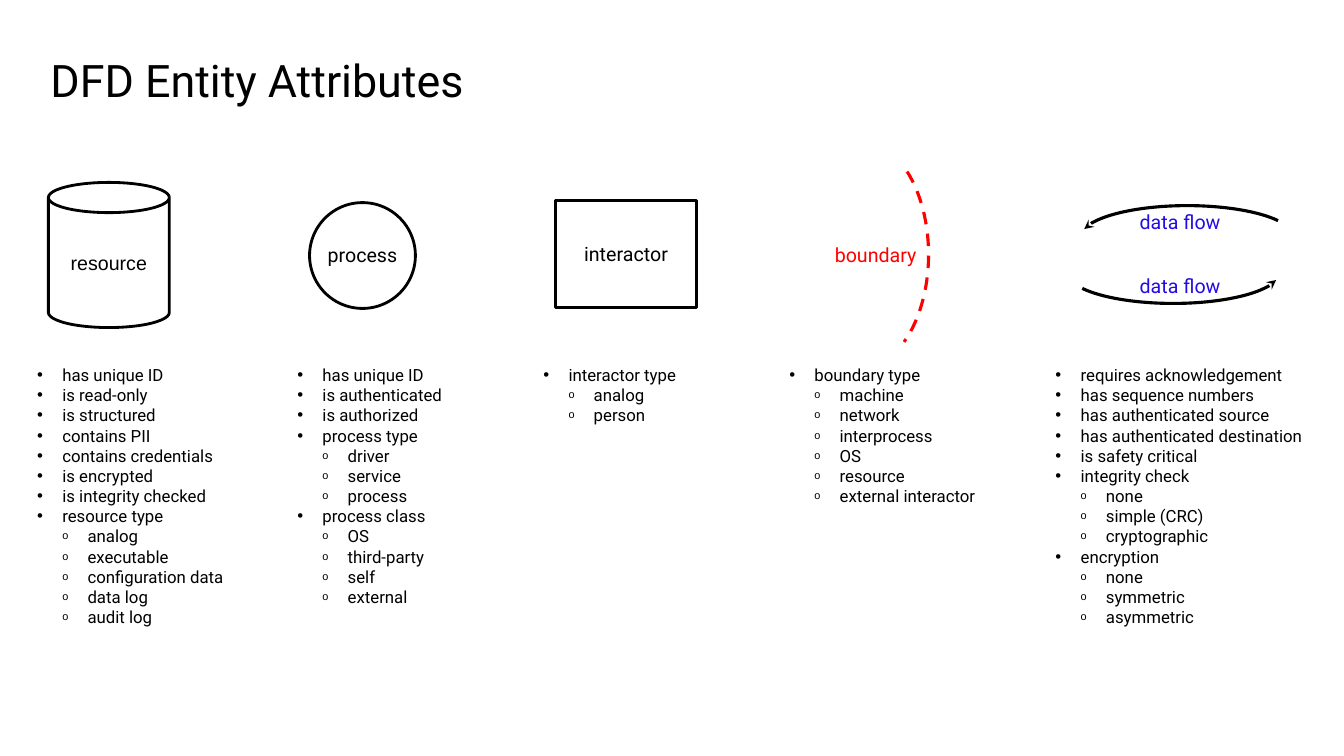
from lxml.etree import SubElement
from pptx import Presentation
from pptx.dml.color import RGBColor
from pptx.enum.dml import MSO_LINE
from pptx.enum.shapes import MSO_SHAPE
from pptx.enum.text import MSO_ANCHOR, MSO_AUTO_SIZE, PP_ALIGN
from pptx.oxml.ns import qn
from pptx.util import Pt

PX = 9144
BLACK = RGBColor(0x00, 0x00, 0x00)
RED = RGBColor(0xFF, 0x00, 0x00)
BLUE = RGBColor(0x23, 0x0B, 0xE3)

ICON_TOP = 139
LIST_TOP = 357
LINE_HEIGHT = 20
INDENT = 25
FLOW_ANGLES = (184.36, 349.87)
BOUNDARY_ANGLES = (299.84, 62.99)


def emu(*lengths):
    """Turn px lengths into EMU."""
    return [n * PX for n in lengths]


def set_all(obj, values):
    """Set every attribute named in values."""
    for name, value in values.items():
        setattr(obj, name, value)


def add_run(p, text, size, color=BLACK, font="Roboto"):
    """Append a formatted run to a paragraph."""
    r = p.add_run()
    r.text = text
    set_all(r.font, {"name": font, "size": Pt(size)})
    r.font.color.rgb = color


def center_label(tf, text, color=BLACK, font="Roboto"):
    """Write a centred icon label."""
    set_all(tf, {"word_wrap": True, "vertical_anchor": MSO_ANCHOR.MIDDLE})
    tf.paragraphs[0].alignment = PP_ALIGN.CENTER
    add_run(tf.paragraphs[0], text, 14, color, font)


def add_label(slide, x, y, w, text, color=BLACK):
    """Place a one-line label in its own text box."""
    s = slide.shapes.add_textbox(*emu(x, y, w, 34))
    center_label(s.text_frame, text, color)
    s.text_frame.auto_size = MSO_AUTO_SIZE.SHAPE_TO_FIT_TEXT


def add_outline(slide, kind, x, y, w, h, color=BLACK, width=2):
    """Draw an unfilled preset shape."""
    sp = slide.shapes.add_shape(kind, *emu(x, y, w, h))
    sp.shadow.inherit = False
    sp.fill.background()
    sp.line.color.rgb = color
    sp.line.width = Pt(width)
    return sp


def add_arc(slide, x, y, w, h, angles, color=BLACK):
    """Draw an arc between two angles in degrees."""
    sp = add_outline(slide, MSO_SHAPE.ARC, x, y, w, h, color, 2.25)
    for i, angle in enumerate(angles):
        sp.adjustments[i] = angle * 0.6
    return sp


def draw_resource(slide, x, y):
    """Draw the resource cylinder."""
    sp = add_outline(slide, MSO_SHAPE.CAN, x + 21, y + 42, 120, 144)
    center_label(sp.text_frame, "resource", font="Arial")


def draw_process(slide, x, y):
    """Draw the process circle."""
    add_outline(slide, MSO_SHAPE.OVAL, x + 22, y + 62, 105, 105)
    add_label(slide, x + 22, y + 97, 105, "process")


def draw_interactor(slide, x, y):
    """Draw the interactor rectangle."""
    sp = add_outline(slide, MSO_SHAPE.RECTANGLE, x + 22, y + 60, 140, 106)
    center_label(sp.text_frame, "interactor")


def draw_boundary(slide, x, y):
    """Draw the dashed trust boundary."""
    sp = add_arc(slide, x + 11, y, 137, 227, BOUNDARY_ANGLES, RED)
    sp.line.dash_style = MSO_LINE.DASH
    add_label(slide, x + 43, y + 97, 105, "boundary", RED)


def draw_data_flow(slide, x, y):
    """Draw the two opposite data flow arrows."""
    for dx, dy, rotation, label_dy in ((35, 65, 0, 64), (21, 100, 180, 127)):
        sp = add_arc(slide, x + dx, y + dy, 211, 62, FLOW_ANGLES)
        sp.rotation = rotation
        SubElement(sp.line._get_or_add_ln(), qn("a:headEnd"), type="stealth")
        add_label(slide, x + 35, y + label_dy, 197, "data flow", BLUE)


def add_bullet(p, level):
    """Give a paragraph the bullet and indent of its level."""
    pPr = p._p.get_or_add_pPr()
    pPr.set("marL", str(INDENT * (level + 1) * PX))
    pPr.set("indent", str(-INDENT * PX))
    p.level = level
    SubElement(SubElement(pPr, qn("a:buClr")), qn("a:srgbClr"), val=str(BLACK))
    if level:
        SubElement(pPr, qn("a:buSzPct"), val="65000")
    SubElement(pPr, qn("a:buFont"), typeface="Arial")
    SubElement(pPr, qn("a:buChar"), char="o" if level else "•")


def add_attributes(slide, x, y, w, groups):
    """List attributes, each with its possible values one level below."""
    rows = []
    for name, values in groups:
        rows += [(0, name)] + [(1, value) for value in values]
    s = slide.shapes.add_textbox(*emu(x, y, w, 10 + LINE_HEIGHT * len(rows)))
    tf = s.text_frame
    set_all(tf, {"word_wrap": True, "auto_size": MSO_AUTO_SIZE.SHAPE_TO_FIT_TEXT})
    for i, (level, text) in enumerate(rows):
        p = tf.add_paragraph() if i else tf.paragraphs[0]
        add_bullet(p, level)
        add_run(p, text, 12)


def add_title(slide, x, y, w, h, text):
    """Place the slide title."""
    tf = slide.shapes.add_textbox(*emu(x, y, w, h)).text_frame
    set_all(tf, {"word_wrap": True, "vertical_anchor": MSO_ANCHOR.MIDDLE,
                 "margin_left": 0, "margin_right": 0,
                 "margin_top": 0, "margin_bottom": 0})
    add_run(tf.paragraphs[0], text, 32)


ENTITIES = [
    (27, 210, draw_resource, [
        ("has unique ID", []), ("is read-only", []), ("is structured", []),
        ("contains PII", []), ("contains credentials", []),
        ("is encrypted", []), ("is integrity checked", []),
        ("resource type", ["analog", "executable", "configuration data",
                           "data log", "audit log"])]),
    (285, 168, draw_process, [
        ("has unique ID", []), ("is authenticated", []), ("is authorized", []),
        ("process type", ["driver", "service", "process"]),
        ("process class", ["OS", "third-party", "self", "external"])]),
    (529, 168, draw_interactor, [("interactor type", ["analog", "person"])]),
    (773, 206, draw_boundary, [
        ("boundary type", ["machine", "network", "interprocess", "OS",
                           "resource", "external interactor"])]),
    (1037, 271, draw_data_flow, [
        ("requires acknowledgement", []), ("has sequence numbers", []),
        ("has authenticated source", []),
        ("has authenticated destination", []), ("is safety critical", []),
        ("integrity check", ["none", "simple (CRC)", "cryptographic"]),
        ("encryption", ["none", "symmetric", "asymmetric"])]),
]


def main():
    """Build the slide and save it."""
    prs = Presentation()
    prs.slide_width, prs.slide_height = emu(1333, 750)
    slide = prs.slides.add_slide(prs.slide_layouts[6])
    add_title(slide, 50, 50, 1233, 57, "DFD Entity Attributes")
    for x, w, draw_icon, groups in ENTITIES:
        draw_icon(slide, x, ICON_TOP)
        add_attributes(slide, x, LIST_TOP, w, groups)
    prs.save("out.pptx")


if __name__ == "__main__":
    main()
